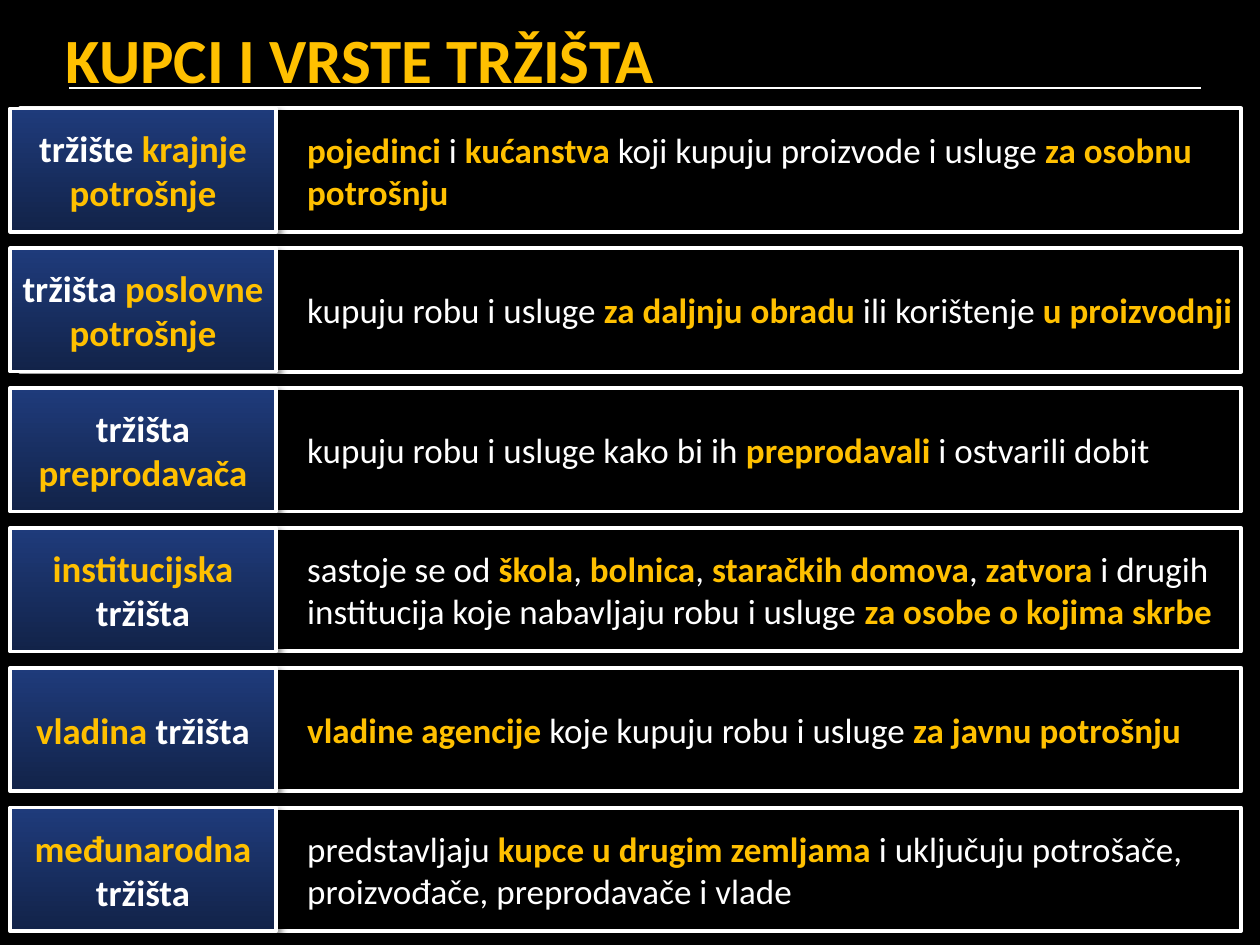
from dataclasses import dataclass

from lxml import etree
from pptx import Presentation
from pptx.dml.color import RGBColor
from pptx.enum import shapes, text
from pptx.oxml import ns
from pptx.util import Inches, Pt


@dataclass(frozen=True)
class Theme:
    font: str = "Calibri"
    black: RGBColor = RGBColor(0, 0, 0)
    white: RGBColor = RGBColor(255, 255, 255)
    gold: RGBColor = RGBColor(0xFF, 0xC0, 0)
    light: RGBColor = RGBColor(0x1F, 0x3B, 0x7B)
    dark: RGBColor = RGBColor(0x12, 0x23, 0x49)
    head: int = 36
    label: int = 21
    body: int = 20


@dataclass(frozen=True)
class Market:
    name: str  # words between asterisks are gold
    info: str


THEME = Theme()
TOP, STEP, HIGH = 0.86, 1.11, 0.98
MARKETS = [
    Market("tržište *krajnje potrošnje*",
           "*pojedinci* i *kućanstva* koji kupuju proizvode i usluge "
           "*za osobnu potrošnju*"),
    Market("tržišta *poslovne potrošnje*",
           "kupuju robu i usluge *za daljnju obradu* ili korištenje "
           "*u proizvodnji*"),
    Market("tržišta *preprodavača*",
           "kupuju robu i usluge kako bi ih *preprodavali* i ostvarili dobit"),
    Market("*institucijska* tržišta",
           "sastoje se od *škola*, *bolnica*, *staračkih domova*, *zatvora* "
           "i drugih institucija koje nabavljaju robu i usluge "
           "*za osobe o kojima skrbe*"),
    Market("*vladina* tržišta",
           "*vladine agencije *koje kupuju robu i usluge *za javnu potrošnju*"),
    Market("*međunarodna* tržišta",
           "predstavljaju *kupce u drugim zemljama *i uključuju potrošače, "
           "proizvođače, preprodavače i vlade"),
]


def effects(shape, shadow: bool) -> None:
    """Replace the theme shadow with a soft one, or with none."""
    lst = etree.SubElement(shape._element.spPr, ns.qn("a:effectLst"))
    if shadow:
        outer = etree.SubElement(
            lst, ns.qn("a:outerShdw"), blurRad=str(Pt(4)), dist=str(Pt(3)),
            dir="2700000", algn="tl", rotWithShape="0")
        tint = etree.SubElement(outer, ns.qn("a:srgbClr"), val="000000")
        etree.SubElement(tint, ns.qn("a:alpha"), val="40000")


def write(frame, words: str, size: int, bold: bool) -> None:
    """Fill a text frame; every second part of the words is gold."""
    frame.word_wrap = True
    frame.vertical_anchor = text.MSO_ANCHOR.MIDDLE
    para = frame.paragraphs[0]
    para.font.name, para.font.size = THEME.font, Pt(size)
    for i, part in enumerate(words.split("*")):
        if part:
            run = para.add_run()
            run.text = part
            run.font.bold = bold or i % 2 == 1
            run.font.color.rgb = THEME.gold if i % 2 else THEME.white


def frame_box(slide, left: float, top: float, width: float, line: float):
    box = slide.shapes.add_shape(
        shapes.MSO_SHAPE.RECTANGLE,
        Inches(left), Inches(top), Inches(width), Inches(HIGH))
    box.fill.background()
    box.line.color.rgb, box.line.width = THEME.white, Pt(line)
    effects(box, True)
    return box


def draw_info(slide, market: Market, top: float) -> None:
    frame_box(slide, 0.16, top, 9.69, 2.25)
    note = slide.shapes.add_textbox(
        Inches(2.34), Inches(top + 0.1), Inches(7.5), Inches(HIGH - 0.2))
    note.text_frame.margin_right = 0
    write(note.text_frame, market.info, THEME.body, False)


def draw_label(slide, market: Market, top: float) -> None:
    box = frame_box(slide, 0.08, top, 2.11, 2)
    box.fill.gradient()
    box.fill.gradient_angle = 90
    for stop, color in zip(box.fill.gradient_stops, (THEME.dark, THEME.light)):
        stop.color.rgb = color
    frame = box.text_frame
    frame.margin_left = frame.margin_right = Inches(0.08)
    write(frame, market.name, THEME.label, True)
    frame.paragraphs[0].alignment = text.PP_ALIGN.CENTER


deck = Presentation()
deck.slide_width, deck.slide_height = Inches(10), Inches(7.5)
slide = deck.slides.add_slide(deck.slide_layouts[5])
slide.background.fill.solid()
slide.background.fill.fore_color.rgb = THEME.black

# Title and rule
title = slide.shapes.title
title.left, title.top = Inches(0.47), Inches(0.08)
title.width, title.height = Inches(9.53), Inches(0.63)
frame = title.text_frame
frame.margin_left, frame.margin_top, frame.margin_bottom = Inches(0.05), Inches(0.08), 0
frame.auto_size = text.MSO_AUTO_SIZE.NONE
write(frame, "*KUPCI I VRSTE TRŽIŠTA*", THEME.head, True)
frame.vertical_anchor = text.MSO_ANCHOR.TOP
frame.paragraphs[0].alignment = text.PP_ALIGN.LEFT

rule = slide.shapes.add_connector(
    shapes.MSO_CONNECTOR.STRAIGHT,
    Inches(0.55), Inches(0.7), Inches(9.53), Inches(0.7))
rule.line.color.rgb, rule.line.width = THEME.white, Pt(1)
effects(rule, False)

# Market rows: descriptions behind, labels in front
for draw in (draw_info, draw_label):
    for row, market in enumerate(MARKETS):
        draw(slide, market, TOP + row * STEP)

deck.save("out.pptx")
